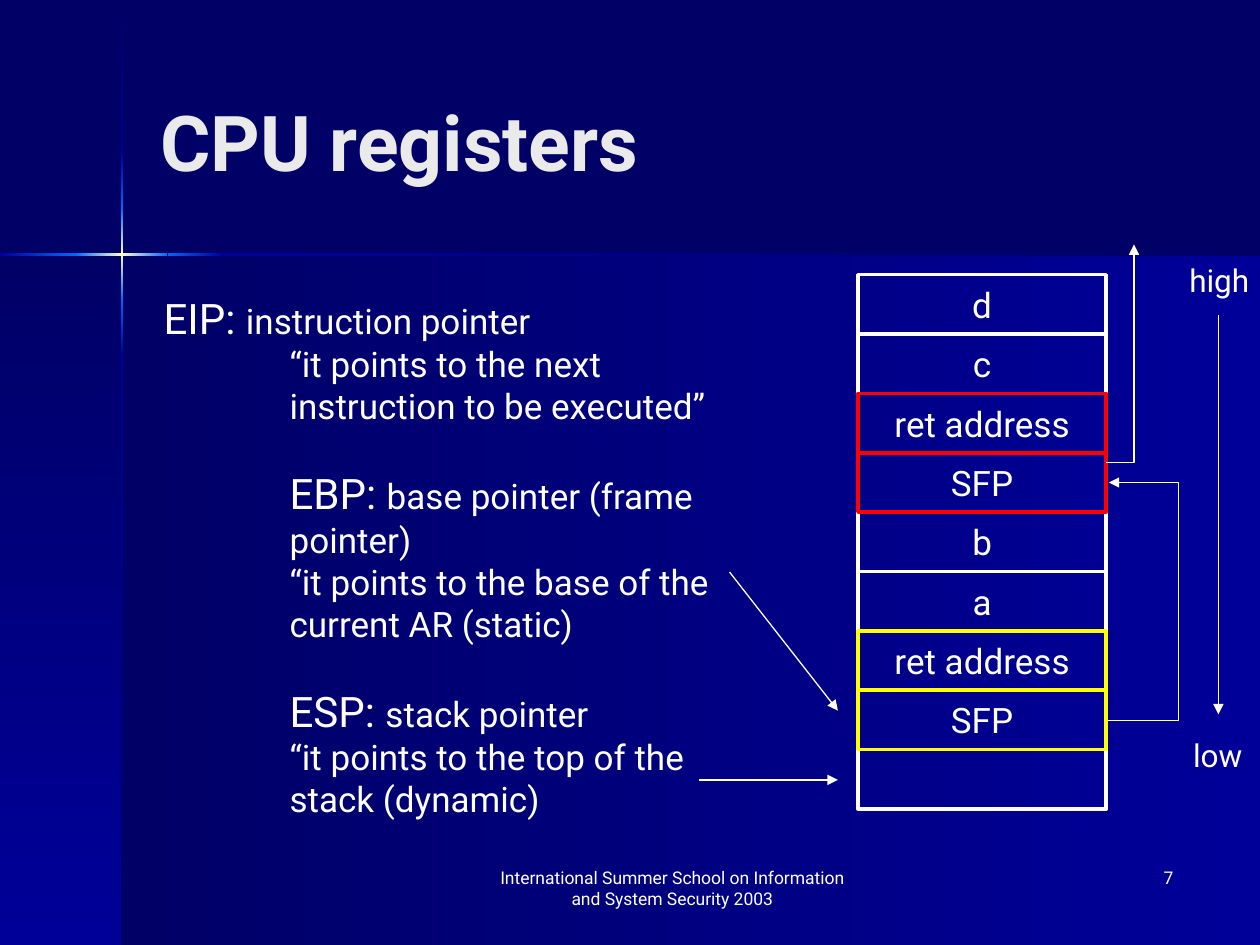
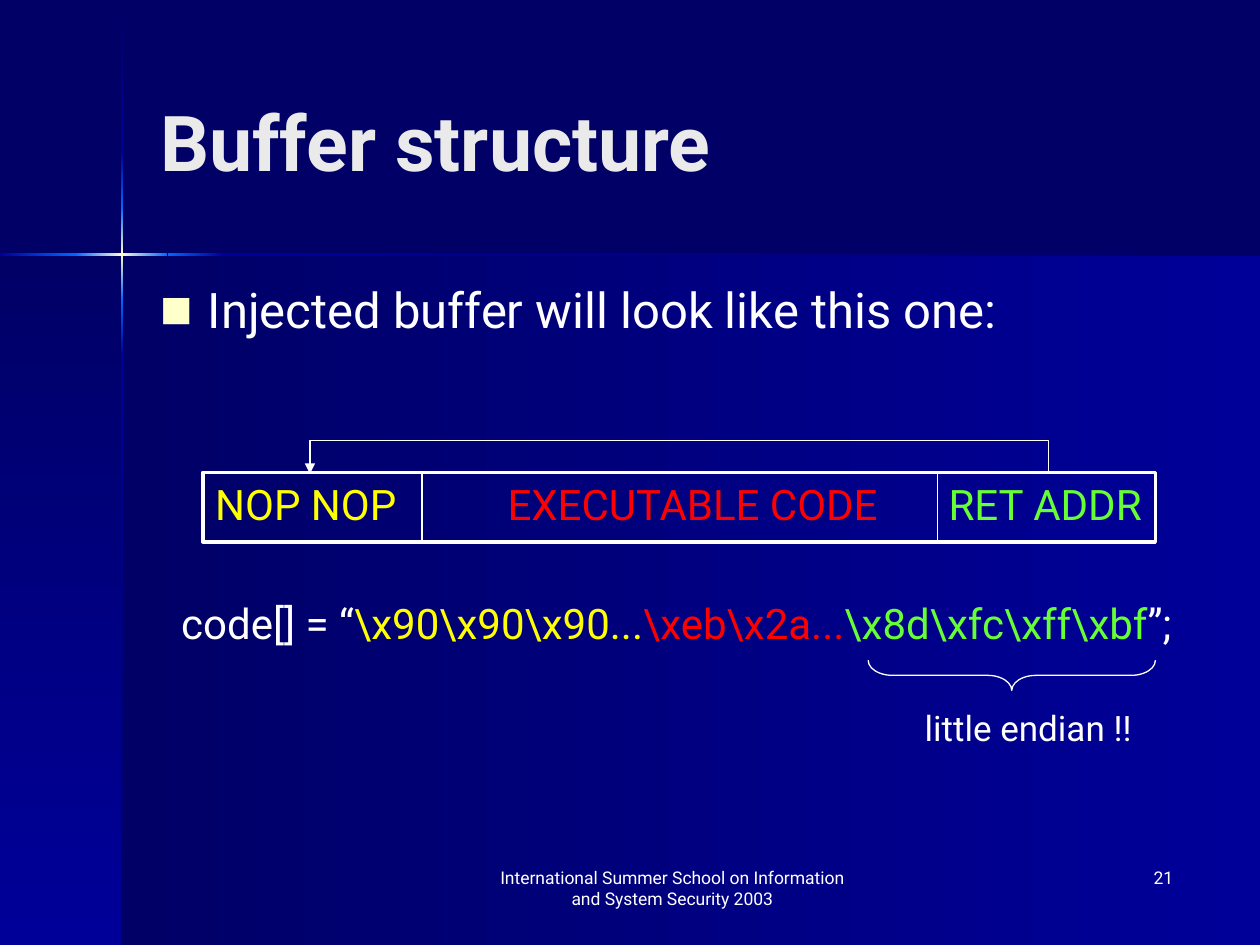
"""Builds two slides on CPU registers and the structure of an injected buffer."""
import dataclasses

import pptx
import pptx.dml.color
import pptx.enum.shapes
import pptx.enum.text
import pptx.oxml.ns
import pptx.util
from lxml import etree

RECT = pptx.enum.shapes.MSO_SHAPE.RECTANGLE
BRACE = pptx.enum.shapes.MSO_SHAPE.LEFT_BRACE
LINK = pptx.enum.shapes.MSO_CONNECTOR
ALIGN = pptx.enum.text.PP_ALIGN
ANCHOR = pptx.enum.text.MSO_ANCHOR
AUTO = pptx.enum.text.MSO_AUTO_SIZE
qn = pptx.oxml.ns.qn
Pt = pptx.util.Pt


@dataclasses.dataclass(frozen=True)
class Theme:
    font: str = "Roboto"
    night: str = "000066"
    navy: str = "000099"
    glow: str = "0066FF"
    spark: str = "FFFFCC"
    heading: str = "EAEAEA"
    white: str = "FFFFFF"
    red: str = "FF0000"
    yellow: str = "FFFF00"
    green: str = "66FF33"
    title: int = 44
    bullet: int = 28
    large: int = 24
    text: int = 20
    label: int = 18
    footer: int = 10
    thin: float = 0.75
    thick: float = 2
    footer_text: str = "International Summer School on Information and System Security 2003"


class Deck:
    COLS, ROWS = 100, 75

    def __init__(self, theme):
        self.theme = theme
        self.prs = pptx.Presentation()
        self.prs.slide_width = pptx.util.Inches(10)
        self.prs.slide_height = pptx.util.Inches(7.5)
        self.s = None

    def x(self, cols):
        return round(self.prs.slide_width * cols / self.COLS)

    def y(self, rows):
        return round(self.prs.slide_height * rows / self.ROWS)

    def box(self, col, row, cols, rows):
        return self.x(col), self.y(row), self.x(cols), self.y(rows)

    def place(self, sp, *cells):
        sp.left, sp.top, sp.width, sp.height = self.box(*cells)

    def color(self, value):
        return pptx.dml.color.RGBColor.from_string(value)

    def slide(self, title, number, layout):
        self.s = self.prs.slides.add_slide(self.prs.slide_layouts[layout])
        if number == FIRST_NUMBER:
            self.dress_master()
        sp = self.s.shapes.title
        self.place(sp, 11.7, 3.3, 82.5, 15.7)
        tf = sp.text_frame
        tf.auto_size, tf.vertical_anchor = AUTO.NONE, ANCHOR.MIDDLE
        p = tf.paragraphs[0]
        p.alignment = ALIGN.LEFT
        self.add_runs(p, [(title, self.theme.heading, self.theme.title)], bold=True)
        for cells, text, align in (((37.5, 68.3, 31.7, 5), self.theme.footer_text, ALIGN.CENTER),
                                   ((73.3, 68.3, 20.8, 5), str(number), ALIGN.RIGHT)):
            self.text(cells, text, self.theme.footer, align=align, wrap=True)

    def dress_master(self):
        t = self.theme
        master = self.prs.slide_master
        master.background.fill.solid()
        master.background.fill.fore_color.rgb = self.color(t.night)
        grp = self.s.shapes.add_group_shape()
        self.gradient(grp, (9.7, 20.2, 90.3, 54.8), (t.night, t.navy), 0)
        self.gradient(grp, (0, 20.2, 9.7, 54.8), (t.night, t.navy), 90)
        ramp = ((t.night, t.navy), (t.navy, t.glow), (t.glow, t.spark, t.glow),
                (t.glow, t.navy), (t.navy, t.night))
        stops = (0.1, 12.1, 16.5, 23.8, 28.2, 75)
        for start, end, colors in zip(stops, stops[1:], ramp):
            self.gradient(grp, (9.6, start, 0.2, end - start), colors, 90)
        stops = (0, 6, 13.3, 17.7, 100)
        for start, end, colors in zip(stops, stops[1:], ramp[1:]):
            self.gradient(grp, (start, 20.1, end - start, 0.2), colors, 0)
        master.shapes.element.insert(2, grp.element)

    def gradient(self, grp, cells, colors, clockwise):
        sp = grp.shapes.add_shape(RECT, *self.box(*cells))
        sp.shadow.inherit = False
        sp.line.fill.background()
        sp.fill.gradient()
        sp.fill.gradient_angle = -clockwise % 360
        stops = sp.element.find(".//" + qn("a:gsLst"))
        for old in list(stops):
            stops.remove(old)
        for i, value in enumerate(colors):
            stop = etree.SubElement(stops, qn("a:gs"), pos=str(100000 * i // (len(colors) - 1)))
            etree.SubElement(stop, qn("a:srgbClr"), val=value)

    def add_runs(self, p, runs, bold=False):
        for text, color, size in runs:
            r = p.add_run()
            r.text = text
            r.font.name, r.font.size, r.font.bold = self.theme.font, Pt(size), bold
            r.font.color.rgb = self.color(color)

    def text(self, cells, text, size, color=None, align=ALIGN.LEFT, wrap=False):
        return self.rich(cells, [[(text, color or self.theme.white, size)]], align, wrap)

    def rich(self, cells, paragraphs, align=ALIGN.LEFT, wrap=False):
        tf = self.s.shapes.add_textbox(*self.box(*cells)).text_frame
        tf.word_wrap = wrap
        for i, runs in enumerate(paragraphs):
            p = tf.add_paragraph() if i else tf.paragraphs[0]
            p.alignment = align
            self.add_runs(p, runs)
        return tf

    def bullets(self, cells, items):
        sp = self.s.placeholders[1]
        self.place(sp, *cells)
        tf = sp.text_frame
        tf.auto_size = AUTO.NONE
        for i, item in enumerate(items):
            p = tf.add_paragraph() if i else tf.paragraphs[0]
            pPr = p._p.get_or_add_pPr()
            pPr.set("marL", str(self.x(3.8)))
            pPr.set("indent", str(-self.x(3.8)))
            color = etree.SubElement(pPr, qn("a:buClr"))
            etree.SubElement(color, qn("a:srgbClr"), val=self.theme.spark)
            etree.SubElement(pPr, qn("a:buSzPct"), val="70000")
            etree.SubElement(pPr, qn("a:buFont"), typeface=self.theme.font)
            etree.SubElement(pPr, qn("a:buChar"), char="■")
            p.space_before = Pt(7 if i else 0)
            self.add_runs(p, [(item, self.theme.white, self.theme.bullet)])

    def shape(self, kind, cells, color=None, width=None, text=""):
        sp = self.s.shapes.add_shape(kind, *self.box(*cells))
        sp.shadow.inherit = False
        sp.fill.background()
        sp.line.color.rgb = self.color(color or self.theme.white)
        sp.line.width = Pt(width or self.theme.thick)
        if text:
            tf = sp.text_frame
            tf.word_wrap, tf.vertical_anchor = False, ANCHOR.MIDDLE
            tf.paragraphs[0].alignment = ALIGN.CENTER
            self.add_runs(tf.paragraphs[0], [(text, self.theme.white, self.theme.text)])
        return sp

    def line(self, start, end, arrow=True, kind=LINK.STRAIGHT):
        c = self.s.shapes.add_connector(kind, self.x(start[0]), self.y(start[1]),
                                        self.x(end[0]), self.y(end[1]))
        c.line.color.rgb = self.color(self.theme.white)
        c.line.width = Pt(self.theme.thin)
        if arrow:
            etree.SubElement(c.element.find(".//" + qn("a:ln")), qn("a:tailEnd"), type="triangle")
        etree.SubElement(c.element.spPr, qn("a:effectLst"))
        return c

    def elbow(self, start, end, bend=None, turn=0):
        c = self.line(start, end, kind=LINK.ELBOW)
        geom = c.element.spPr.find(qn("a:prstGeom"))
        if bend is None:
            geom.set("prst", "bentConnector2")
        else:
            guides = geom.find(qn("a:avLst"))
            share = round(100000 * bend / (end[0] - start[0]))
            etree.SubElement(guides, qn("a:gd"), name="adj1", fmla=f"val {share}")
        if turn:
            c.element.spPr.find(qn("a:xfrm")).set("rot", str(turn * 60000))


FIRST_NUMBER = 7


def registers_slide(d):
    t = d.theme
    d.slide("CPU registers", FIRST_NUMBER, 5)
    registers = (
        ("EIP: ", "instruction pointer", "“it points to the next instruction to be executed”"),
        ("EBP: ", "base pointer (frame pointer)", "“it points to the base of the current AR (static)"),
        ("ESP: ", "stack pointer", "“it points to the top of the stack (dynamic)"),
    )
    paragraphs = []
    for name, meaning, note in registers:
        paragraphs.append([(name, t.white, t.large), (meaning, t.white, t.text)])
        paragraphs.append([(note, t.white, t.text)])
    tf = d.rich((12, 22.7, 45.9, 46.4), paragraphs, wrap=True)
    for i, p in enumerate(tf.paragraphs[1:], 1):
        pPr = p._p.get_or_add_pPr()
        pPr.set("marL", str(d.x(10)))
        pPr.set("indent", "0")
        if i % 2 == 0:
            p.space_before = Pt(23.4)

    stack = (("d", t.white), ("c", t.white), ("ret address", t.red), ("SFP", t.red),
             ("b", t.white), ("a", t.white), ("ret address", t.yellow), ("SFP", t.yellow),
             ("", t.white))
    top, bottom = 21.8, 64.2
    pitch = (bottom - top) / len(stack)
    for i, (name, color) in sorted(enumerate(stack), key=lambda cell: cell[1][1] != t.white):
        d.shape(RECT, (68.1, top + i * pitch, 19.7, pitch), color, text=name)

    d.text((93.4, 20.2, 7.2, 4), "high", t.label)
    d.text((93.7, 57.9, 6.1, 4), "low", t.label)
    d.line((96.7, 25), (96.7, 56.7))
    d.line((57.9, 45.4), (66.5, 56.4))
    d.line((55.5, 61.9), (66.5, 61.9))
    d.elbow((87.9, 57.2), (88, 38.3), bend=5.7)
    d.elbow((87.8, 36.7), (90, 19.4))


def buffer_slide(d):
    t = d.theme
    d.slide("Buffer structure", 21, 1)
    d.bullets((11.7, 21.7, 82.5, 45), ["Injected buffer will look like this one:"])
    d.shape(RECT, (16.1, 37.5, 75.6, 5.5))
    for col, width, name, color in ((16.1, 17.1, "NOP NOP", t.yellow),
                                    (39.3, 31.8, "EXECUTABLE CODE", t.red),
                                    (74.3, 17.7, "RET ADDR", t.green)):
        d.text((col, 37.5, width, 5), name, t.large, color)
    for col in (33.5, 74.4):
        d.line((col, 37.5), (col, 43), arrow=False)
    d.elbow((53.85, 8.25), (53.95, 66.85), bend=-2.6, turn=90)
    code = (("code[] = “", t.white), (r"\x90\x90\x90...", t.yellow), (r"\xeb\x2a...", t.red),
            (r"\x8d\xfc\xff\xbf", t.green), ("”;", t.white))
    d.rich((13.4, 46.9, 82.4, 5), [[(text, color, t.large) for text, color in code]])
    sp = d.shape(BRACE, (79.1, 42.2, 2.4, 22.8), width=t.thin)
    sp.adjustments[0] = 0.8
    sp.rotation = 270
    d.text((72.4, 55.6, 19.7, 4.4), "little endian !!", t.text)


def main():
    d = Deck(Theme())
    registers_slide(d)
    buffer_slide(d)
    d.prs.save("out.pptx")


if __name__ == "__main__":
    main()
